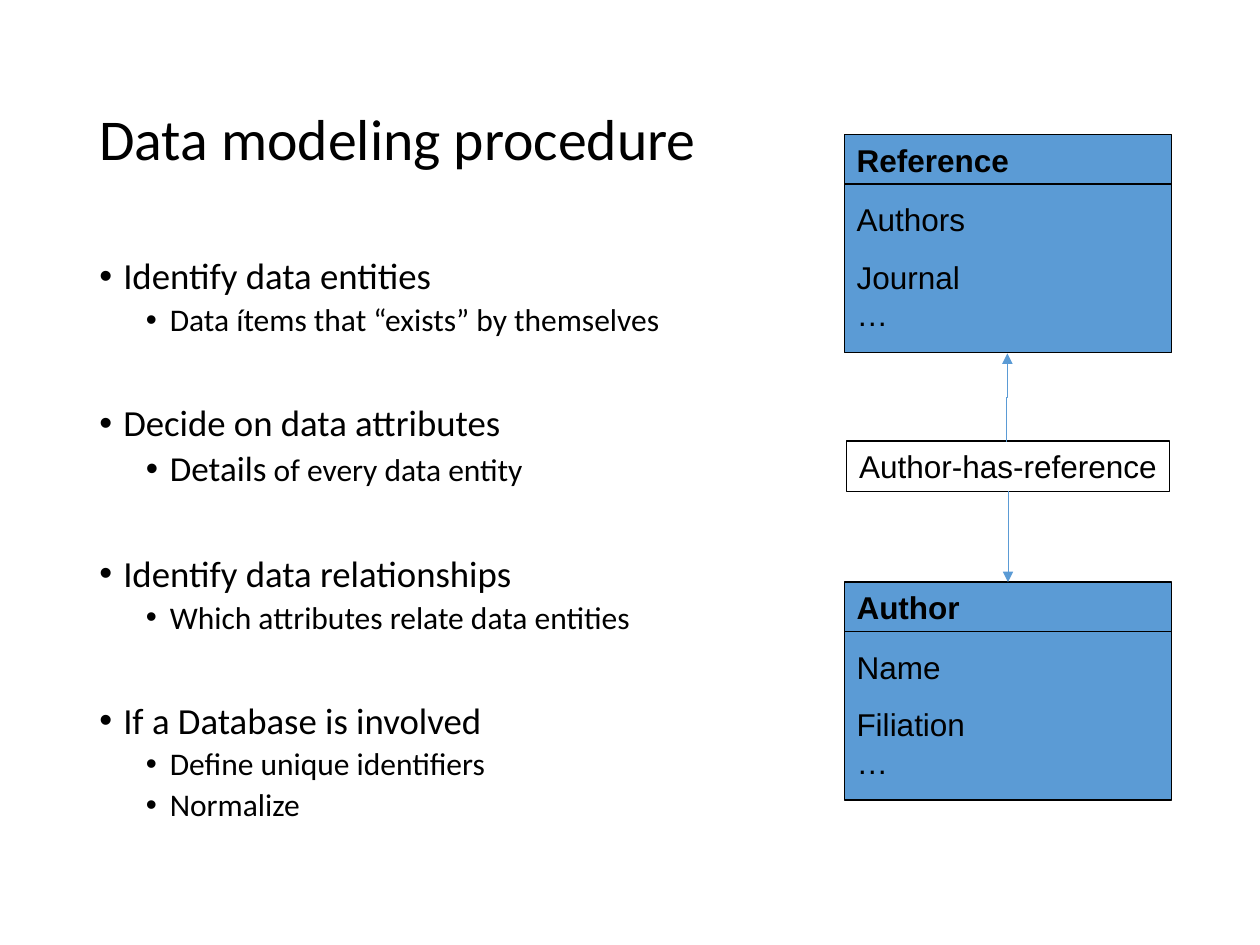
from dataclasses import dataclass

from lxml import etree
from pptx import Presentation
from pptx import util as u
from pptx.dml.color import RGBColor
from pptx.enum import shapes, text
from pptx.oxml import ns
from pptx.util import Inches


@dataclass(frozen=True)
class Theme:
    ink: RGBColor = RGBColor(0x00, 0x00, 0x00)
    accent: RGBColor = RGBColor(0x5B, 0x9B, 0xD5)
    outline_font: str = "Calibri"
    diagram_font: str = "Arial"
    title: int = 33
    topic: int = 21
    emphasis: int = 20
    normal: int = 18


theme = Theme()


def write(box, content, size=theme.normal, font=theme.diagram_font, bold=False,
          before=0, line=1.0, bullet_at=None):
    """Add a paragraph to box; content is a string or a list of (string, size)."""
    frame = box.text_frame
    para = frame.paragraphs[0] if not frame.text else frame.add_paragraph()
    para.alignment = text.PP_ALIGN.LEFT
    para.space_before = u.Pt(before)
    para.line_spacing = line
    parts = [(content, size)] if isinstance(content, str) else content
    for words, points in parts:
        for number, row in enumerate(words.split("\n")):
            if number:
                para.add_line_break()
            span = para.add_run()
            span.text = row
            span.font.size = u.Pt(points)
            span.font.name = font
            span.font.bold = bold
            span.font.color.rgb = theme.ink
    if bullet_at is not None:
        props = para._p.get_or_add_pPr()
        props.set("marL", str(Inches(bullet_at + 0.19)))
        props.set("indent", str(Inches(-0.19)))
        etree.SubElement(props, ns.qn("a:buFont")).set("typeface", "Arial")
        etree.SubElement(props, ns.qn("a:buChar")).set("char", "•")


def style_line(connector, color, width, arrow=False):
    connector.line.color.rgb = color
    connector.line.width = u.Pt(width)
    if arrow:
        tail = etree.SubElement(connector.line._get_or_add_ln(), ns.qn("a:tailEnd"))
        tail.set("type", "triangle")
    etree.SubElement(connector.element.spPr, ns.qn("a:effectLst"))


deck = Presentation()
deck.slide_width, deck.slide_height = Inches(10), Inches(7.5)
page = deck.slides.add_slide(deck.slide_layouts[6])

# Title and outline
title = page.shapes.add_textbox(Inches(0.69), Inches(0.4), Inches(8.63), Inches(1.45))
title.text_frame.word_wrap = True
title.text_frame.vertical_anchor = text.MSO_ANCHOR.MIDDLE
write(title, "Data modeling procedure", size=theme.title, font=theme.outline_font, line=0.9)

outline = page.shapes.add_textbox(Inches(0.69), Inches(2), Inches(8.63), Inches(4.76))
outline.text_frame.word_wrap = True
topics = [
    ("Identify data entities", ["Data ítems that “exists” by themselves"]),
    ("Decide on data attributes",
     [[("Details", theme.emphasis), (" of every data entity", theme.normal)]]),
    ("Identify data relationships", ["Which attributes relate data entities"]),
    ("If a Database is involved", ["Define unique identifiers", "Normalize"]),
]
for number, (topic, details) in enumerate(topics):
    write(outline, topic, size=theme.topic, font=theme.outline_font,
          before=38.1 if number else 7.5, line=0.9, bullet_at=0)
    for detail in details:
        write(outline, detail, font=theme.outline_font, before=3.7, line=0.9, bullet_at=0.37)

# Entities
left, width = Inches(6.7), Inches(2.6)
entities = [
    ("Reference", ["Authors", "Journal\n…"], 1.07),
    ("Author", ["Name", "Filiation\n…"], 4.62),
]
frames = {}
for name, attributes, top in entities:
    group = page.shapes.add_group_shape().shapes
    entity = group.add_shape(shapes.MSO_SHAPE.RECTANGLE, left, Inches(top), width, Inches(1.73))
    entity.shadow.inherit = False
    entity.fill.solid()
    entity.fill.fore_color.rgb = theme.accent
    entity.line.color.rgb = theme.ink
    entity.line.width = u.Pt(0.75)
    frames[name] = entity

    divider_y = Inches(top + 0.39)
    divider = group.add_connector(shapes.MSO_CONNECTOR.STRAIGHT,
                                  left, divider_y, left + width, divider_y)
    style_line(divider, theme.ink, 0.75)

    heading = group.add_textbox(left, Inches(top), width, Inches(0.4))
    heading.text_frame.word_wrap = True
    write(heading, name, bold=True, before=11.2)

    body = group.add_textbox(left, Inches(top + 0.47), width, Inches(1.16))
    body.text_frame.word_wrap = True
    for attribute in attributes:
        write(body, attribute, before=11.2)

# Relationship
relation = page.shapes.add_shape(shapes.MSO_SHAPE.RECTANGLE,
                                 Inches(6.72), Inches(3.5), Inches(2.56), Inches(0.4))
relation.shadow.inherit = False
relation.fill.background()
relation.line.color.rgb = theme.ink
relation.line.width = u.Pt(0.75)
relation.text_frame.word_wrap = False
relation.text_frame.auto_size = text.MSO_AUTO_SIZE.SHAPE_TO_FIT_TEXT
relation.text_frame.vertical_anchor = text.MSO_ANCHOR.TOP
write(relation, "Author-has-reference")

# The elbow is laid out sideways, then turned a quarter so that it points up
to_reference = page.shapes.add_connector(shapes.MSO_CONNECTOR.ELBOW,
                                         Inches(8.34), Inches(3.16), Inches(7.64), Inches(3.15))
to_reference.element.spPr.find(ns.qn("a:xfrm")).set("rot", str(90 * 60000))
style_line(to_reference, theme.accent, 0.5, arrow=True)

to_author = page.shapes.add_connector(shapes.MSO_CONNECTOR.STRAIGHT,
                                      Inches(8), Inches(3.9), Inches(8), Inches(4.62))
to_author.begin_connect(relation, 2)
to_author.end_connect(frames["Author"], 0)
style_line(to_author, theme.accent, 0.5, arrow=True)

deck.save("out.pptx")
